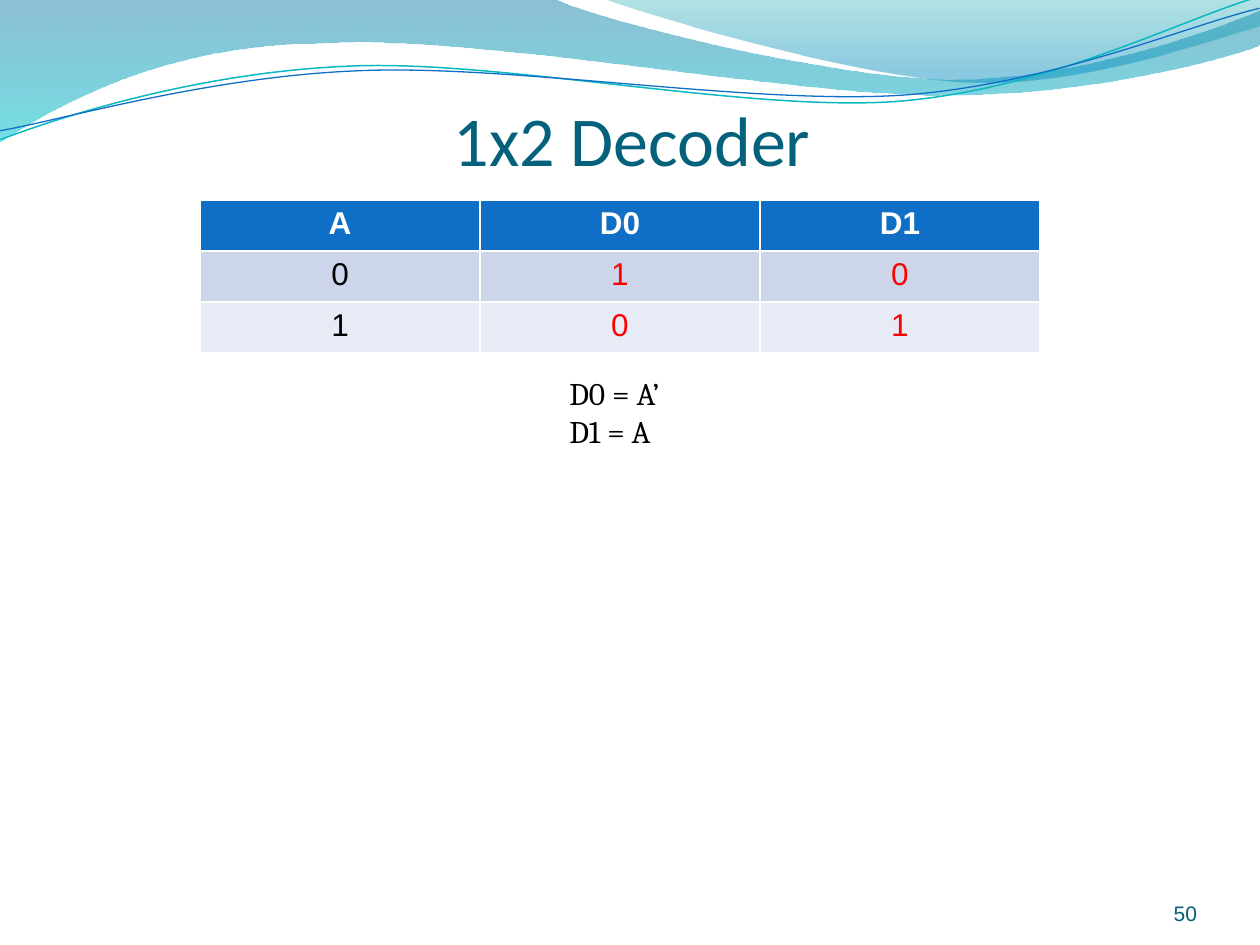
from typing import NamedTuple

from lxml import etree
from pptx import Presentation
from pptx import util as u
from pptx.dml.color import RGBColor
from pptx.enum import text
from pptx.oxml.ns import qn

EMU_PER_PX = 914400 / 126
COLORS = {
    "title": "04617B", "number": "045D75", "black": "000000", "white": "FFFFFF",
    "red": "FF0000", "blue": "0F6FC6", "teal": "0AB8BF", "band1": "CCD5EA",
    "band2": "E7EBF5", "wave_top": "0074A1", "wave_bottom": "00C6CF",
    "crest_top": "00A1A9", "crest_bottom": "008BBF",
}


class Stop(NamedTuple):
    position: float
    color: str
    alpha: int


class Wave(NamedTuple):
    """Path steps hold one point for a line, three for a Bezier curve."""
    start: tuple
    steps: list
    stops: tuple = ()
    line: str = ""
    width: float = 0
    rotation: float = 0


WAVES = [
    Wave((0, -1), [
        (554, -1), (600, 21, 837, 79, 955, 79), (1075, 79, 1207, 33, 1260, 11),
        (1261, 45), (1239, 55, 1096, 96, 940, 95), (784, 95, 481, 35, 324, 43),
        (163, 44, 58, 105, -1, 142)],
        stops=(Stop(0, "wave_top", 45), Stop(1, "wave_bottom", 55))),
    Wave((604, -1), [
        (641, 14, 859, 78, 969, 82), (1079, 87, 1211, 40, 1260, 26), (1260, 0)],
        stops=(Stop(0, "crest_top", 30), Stop(0.8, "crest_bottom", 45))),
    Wave((-2, 110), [
        (59, 90, 199, 52, 350, 53), (499, 53, 745, 118, 896, 114),
        (1049, 109, 1184, 45, 1260, 27)], line="teal", width=0.85, rotation=357.3),
    Wave((-2, 101), [
        (57, 94, 207, 57, 357, 58), (509, 58, 750, 111, 902, 108),
        (1052, 104, 1188, 52, 1262, 38)], line="blue", width=0.75, rotation=357.3),
]


def px(value: float) -> int:
    return round(value * EMU_PER_PX)


def rgb(name: str) -> RGBColor:
    return RGBColor.from_string(COLORS[name])


def set_all(obj, formats: dict) -> None:
    for name, value in formats.items():
        setattr(obj, name, value)


def bend(sp, steps: list) -> None:
    """Join the three line segments of each curve step into one Bezier curve."""
    segments = iter(list(sp.element.iter(qn("a:lnTo"))))
    for step in steps:
        first = next(segments)
        if len(step) == 2:
            continue
        curve = etree.Element(qn("a:cubicBezTo"))
        first.addprevious(curve)
        for segment in (first, next(segments), next(segments)):
            curve.append(segment[0])
            segment.getparent().remove(segment)


def draw_wave(s, wave: Wave) -> None:
    """Draw a wave as decoration on the layout of the slide."""
    points = [(px(x), px(y)) for step in wave.steps
              for x, y in zip(step[::2], step[1::2])]
    builder = s.shapes.build_freeform(px(wave.start[0]), px(wave.start[1]))
    builder.add_line_segments(points, close=bool(wave.stops))
    sp = builder.convert_to_shape()
    bend(sp, wave.steps)
    sp.shadow.inherit = False
    sp.rotation = wave.rotation
    if wave.stops:
        sp.line.fill.background()
        sp.fill.gradient()
        sp.fill.gradient_angle = 270
        for target, stop in zip(sp.fill.gradient_stops, wave.stops):
            target.position = stop.position
            target.color.rgb = rgb(stop.color)
        for color, stop in zip(sp.element.spPr.iter(qn("a:srgbClr")), wave.stops):
            etree.SubElement(color, qn("a:alpha"), val=str(stop.alpha * 1000))
    else:
        sp.fill.background()
        sp.line.color.rgb = rgb(wave.line)
        sp.line.width = u.Pt(wave.width)
    layout = s.slide_layout.shapes
    sp.element.nvSpPr.cNvPr.set("id", str(100 + len(layout)))
    layout.element.append(sp.element)


def write(tf, lines: list, size: int, font: str, color: str, align, bold=False) -> None:
    for i, line in enumerate(lines):
        p = tf.paragraphs[0] if i == 0 else tf.add_paragraph()
        p.alignment = align
        r = p.add_run()
        r.text = line
        set_all(r.font, {"size": u.Pt(size), "name": font, "bold": bold})
        r.font.color.rgb = rgb(color)


def add_text(s, box: tuple, frame: dict, *style) -> None:
    tf = s.shapes.add_textbox(*map(px, box)).text_frame
    set_all(tf, frame)
    write(tf, *style)


def draw_truth_table(s, rows: list) -> None:
    """Draw the table; its default style gives the white cell borders."""
    col_w, row_h = 280, 51
    table = s.shapes.add_table(len(rows), len(rows[0]), px(200), px(200),
                               px(col_w * len(rows[0])), px(row_h * len(rows))).table
    for row in table.rows:
        row.height = px(row_h)
    for i, values in enumerate(rows):
        for j, value in enumerate(values):
            cell = table.cell(i, j)
            header = i == 0
            color = "white" if header else "red" if j else "black"
            cell.fill.solid()
            cell.fill.fore_color.rgb = rgb(("blue", "band1", "band2")[i])
            write(cell.text_frame, [value], 18, "Arial", color,
                  text.PP_ALIGN.CENTER, header)


def draw_title(s, title: str) -> None:
    sp = s.shapes.title
    set_all(sp, {"left": px(95), "top": px(42), "width": px(1074), "height": px(139)})
    set_all(sp.text_frame, {
        "margin_left": 0, "margin_right": 0, "margin_top": px(6), "margin_bottom": 0,
        "vertical_anchor": text.MSO_ANCHOR.BOTTOM, "auto_size": text.MSO_AUTO_SIZE.NONE})
    write(sp.text_frame, [title], 40, "Calibri", "title", text.PP_ALIGN.CENTER)


def main() -> None:
    prs = Presentation()
    prs.slide_width, prs.slide_height = px(1260), px(945)
    s = prs.slides.add_slide(prs.slide_layouts[5])
    for wave in WAVES:
        draw_wave(s, wave)
    number_frame = dict.fromkeys(
        ("margin_left", "margin_right", "margin_top", "margin_bottom"), 0)
    number_frame.update(word_wrap=True, vertical_anchor=text.MSO_ANCHOR.BOTTOM)
    add_text(s, (1092, 876, 105, 50), number_frame,
             ["50"], 12, "Arial", "number", text.PP_ALIGN.RIGHT)
    draw_title(s, "1x2 Decoder")
    draw_truth_table(s, [("A", "D0", "D1"), ("0", "1", "0"), ("1", "0", "1")])
    add_text(s, (557, 368, 126, 89),
             {"word_wrap": False, "auto_size": text.MSO_AUTO_SIZE.SHAPE_TO_FIT_TEXT},
             ["D0 = A’", "D1 = A"], 18, "Cambria", "black", text.PP_ALIGN.LEFT)
    prs.save("out.pptx")


if __name__ == "__main__":
    main()
